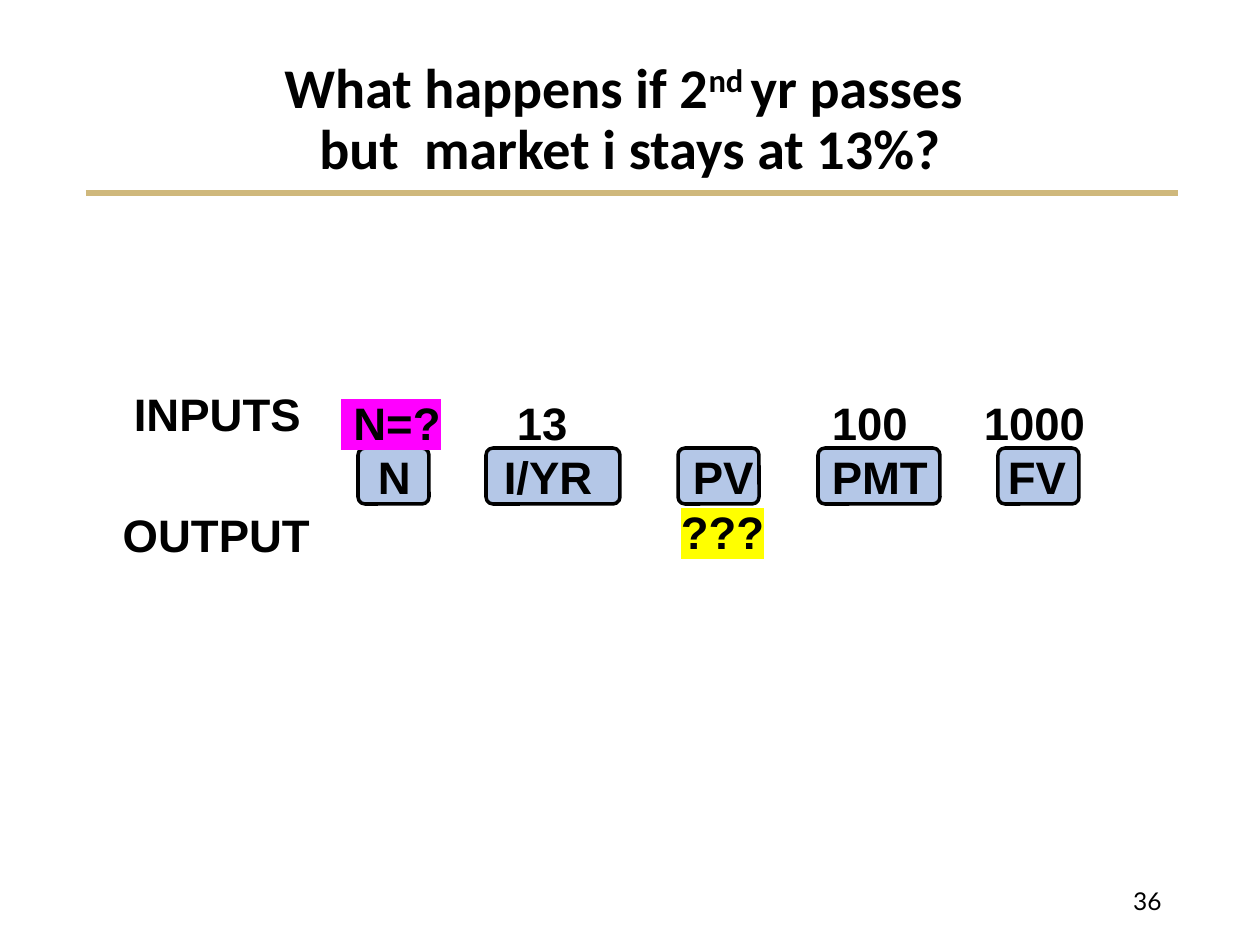
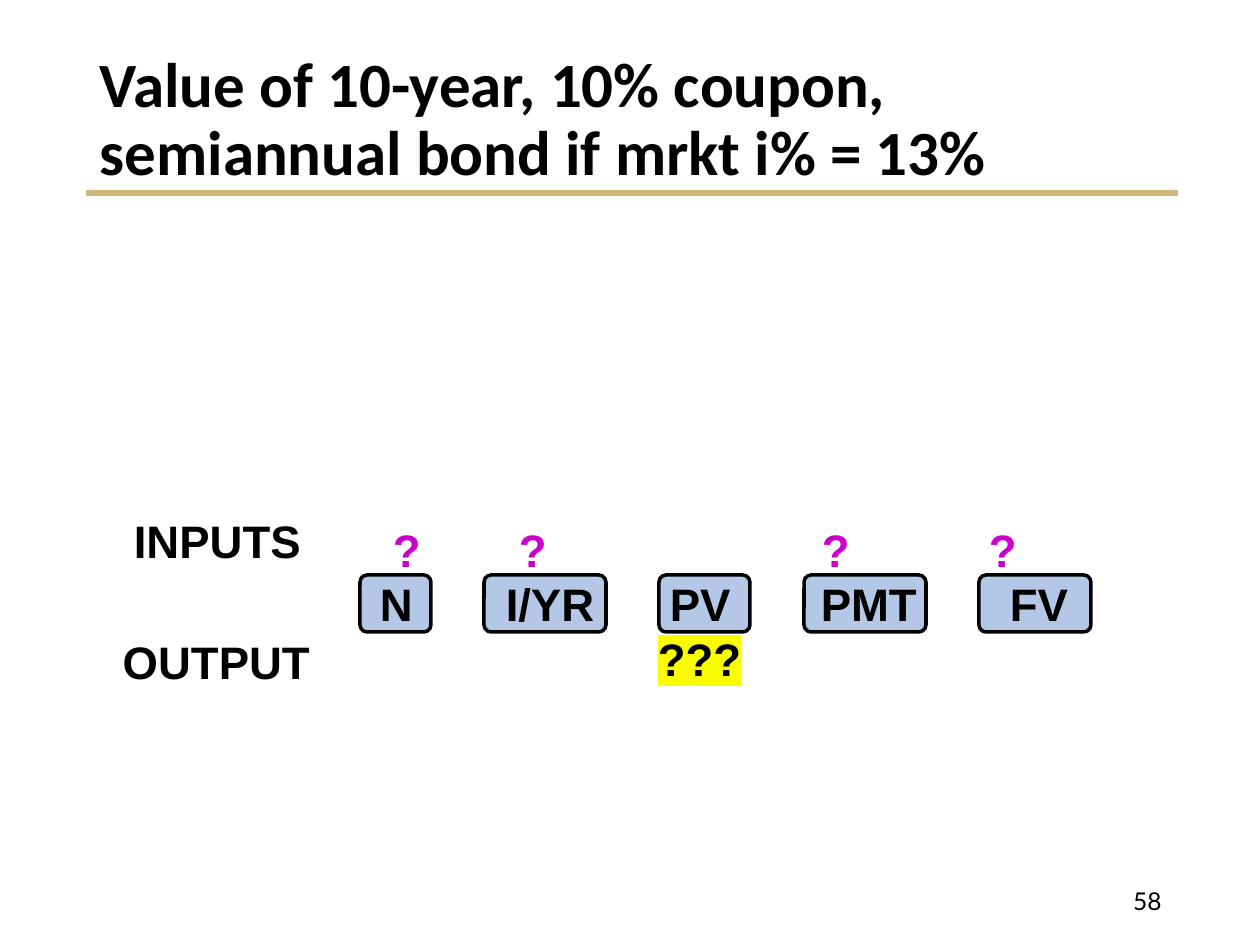
from copy import deepcopy

from lxml import etree
from pptx import Presentation
from pptx import util as u
from pptx.dml.color import RGBColor
from pptx.enum import shapes, text
from pptx.oxml.ns import qn

PX = 914400 / 126
COLORS = {
    "ink": "000000",
    "rule": "CFB87C",
    "key": "B4C7E7",
    "asked": "CC00CC",
    "pink": "FF00FF",
    "yellow": "FFFF00",
    "bright": "FAFD00",
}
KEYS = ("N", "I/YR", "PV", "PMT", "FV")
INSET = 0.1 * 126


def px(length):
    return u.Emu(round(length * PX))


def rgb(name):
    return RGBColor.from_string(COLORS[name])


class Deck:
    body_font, title_font, number_font = "Arial", "Calibri", "Lato"
    body_size = 26

    def __init__(self):
        self.prs = Presentation()
        self.prs.slide_width, self.prs.slide_height = px(1260), px(945)
        self.slide = None

    def start_slide(self, number):
        """Add a slide with the rule under the title and its number."""
        self.slide = self.prs.slides.add_slide(self.prs.slide_layouts[5])
        self.rule(86, 1178, 193)
        frame = self.text_box(890, 876, 284, 50)
        frame.vertical_anchor = text.MSO_ANCHOR.MIDDLE
        frame.text = str(number)
        frame.paragraphs[0].alignment = text.PP_ALIGN.RIGHT
        self.style(frame.paragraphs[0].runs[0], self.number_font, 14, bold=False)

    def style(self, run, font=body_font, size=body_size, color="ink", bold=True):
        run.font.name, run.font.size, run.font.bold = font, u.Pt(size), bold
        run.font.color.rgb = rgb(color)

    def highlight(self, run, color):
        mark = etree.Element(qn("a:highlight"))
        etree.SubElement(mark, qn("a:srgbClr"), val=COLORS[color])
        run.font._element.find(qn("a:solidFill")).addnext(mark)

    def rule(self, left, right, y):
        line = self.slide.shapes.add_connector(
            shapes.MSO_CONNECTOR.STRAIGHT, px(left), px(y), px(right), px(y))
        line.line.color.rgb, line.line.width = rgb("rule"), u.Pt(3)
        etree.SubElement(line._element.spPr, qn("a:effectLst"))

    def text_box(self, *box):
        frame = self.slide.shapes.add_textbox(*map(px, box)).text_frame
        frame.word_wrap = True
        return frame

    def title(self, parts, size, align):
        """Fill the title; a part is text, None for a line break, or ("text",) for superscript."""
        title = self.slide.shapes.title
        title.left, title.top, title.width, title.height = map(px, (87, 50, 1086, 142))
        frame = title.text_frame
        frame.auto_size, frame.word_wrap = text.MSO_AUTO_SIZE.NONE, True
        frame.vertical_anchor = text.MSO_ANCHOR.MIDDLE
        heading = frame.paragraphs[0]
        heading.alignment, heading.line_spacing = align, 0.9
        for part in parts:
            if part is None:
                heading.add_line_break()
                continue
            run = heading.add_run()
            run.text = part if isinstance(part, str) else part[0]
            self.style(run, self.title_font, size)
            if not isinstance(part, str):
                run.font._element.set("baseline", "30000")
        for line_break in heading._p.findall(qn("a:br")):
            line_break.append(deepcopy(heading.runs[0].font._element))

    def rounded(self, left, top, width, height):
        box = self.slide.shapes.add_shape(
            shapes.MSO_SHAPE.ROUNDED_RECTANGLE, *map(px, (left, top, width, height)))
        box.adjustments[0] = 0.125
        box.shadow.inherit = False
        return box

    def key(self, *box):
        key = self.rounded(*box)
        key.fill.solid()
        key.fill.fore_color.rgb = rgb("key")
        key.line.color.rgb, key.line.width = rgb("ink"), u.Pt(2)

    def label(self, left, top, words):
        label = self.rounded(left, top, 189, 78)
        label.fill.background()
        label.line.fill.background()
        frame = label.text_frame
        frame.word_wrap = False
        frame.vertical_anchor = text.MSO_ANCHOR.MIDDLE
        frame.text = words
        frame.paragraphs[0].alignment = text.PP_ALIGN.CENTER
        self.style(frame.paragraphs[0].runs[0])

    def tabbed_rows(self, left, top, rows):
        """Write rows of (x, words, color, highlight), each entry at a tab stop."""
        frame = self.text_box(left, top, 1041, 177)
        for index, row in enumerate(rows):
            line = frame.add_paragraph() if index else frame.paragraphs[0]
            line.line_spacing = u.Pt(31.1)
            tabs = etree.SubElement(line._p.get_or_add_pPr(), qn("a:tabLst"))
            for x, words, color, mark in row:
                etree.SubElement(tabs, qn("a:tab"), algn="l", pos=str(px(x - left - INSET)))
                for piece in ("\t", words):
                    run = line.add_run()
                    run.text = piece
                    self.style(run, color=color)
                if mark:
                    self.highlight(run, mark)

    def calculator(self, key_top, key_height, key_spans, text_left, inputs, key_names, output):
        """Draw the keys with the inputs above, the output below and both row labels."""
        for left, width in key_spans:
            self.key(left, key_top, width, key_height)
        names = [(x, name, "ink", None) for x, name in zip(key_names, KEYS)]
        self.tabbed_rows(text_left, key_top - 59, [inputs, names, [output]])
        self.label(123, key_top - 74, "INPUTS")
        self.label(122, key_top + 47, "OUTPUT")


def main():
    deck = Deck()

    deck.start_slide(36)
    deck.title(["What happens if 2", ("nd ",), "yr passes ", None,
                "but  market i stays at 13%?"], 32, text.PP_ALIGN.CENTER)
    deck.calculator(
        448, 56, [(358, 71), (486, 134), (678, 81), (818, 122), (998, 81)], 113,
        inputs=[(341, " N=?", "ink", "pink"), (517, "13", "ink", None),
                (832, "100", "ink", None), (984, "1000", "ink", None)],
        key_names=(378, 504, 693, 832, 1008),
        output=(681, "???", "ink", "yellow"))

    deck.start_slide(58)
    deck.title(["Value of 10-year, 10% coupon, semiannual bond if mrkt i% = 13%"],
               36, text.PP_ALIGN.LEFT)
    deck.calculator(
        575, 57, [(360, 71), (484, 122), (659, 91), (804, 122), (979, 112)], 116,
        inputs=[(x, "?", "asked", None) for x in (393, 519, 822, 989)],
        key_names=(380, 506, 670, 821, 1010),
        output=(658, "???", "ink", "bright"))

    deck.prs.save("out.pptx")


if __name__ == "__main__":
    main()
